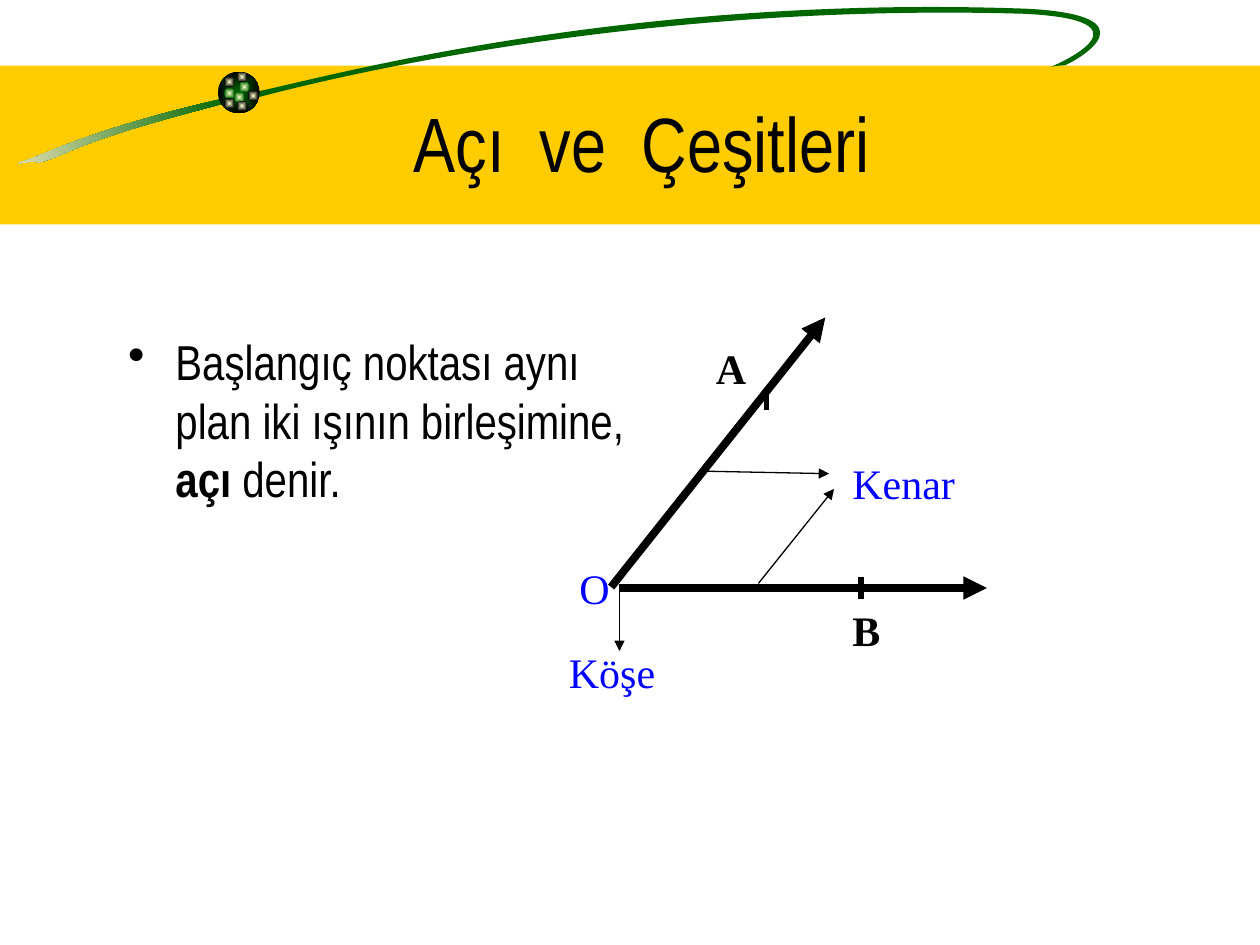
import math
from dataclasses import dataclass
from typing import Optional

import pptx
import pptx.dml.color
import pptx.enum.shapes
import pptx.enum.text
import pptx.oxml
import pptx.oxml.ns
import pptx.util
from lxml import etree

Pt = pptx.util.Pt
SHAPES = pptx.enum.shapes.MSO_SHAPE
ALIGN = pptx.enum.text.PP_ALIGN
ANCHOR = pptx.enum.text.MSO_ANCHOR
FIT = pptx.enum.text.MSO_AUTO_SIZE
qn = pptx.oxml.ns.qn

COLORS = {
    "band": "FFCC00",
    "green": "006600",
    "cream": "F5EBC1",
    "glow": "FFFFCC",
    "black": "000000",
    "blue": "0000FF",
    "white": "FFFFFF",
}
NARROW = "Arial Narrow"
SERIF = "Times New Roman"
TILT = 8.5


@dataclass
class Line:
    start: tuple[float, float]
    end: tuple[float, float]
    width: float = 0.75
    arrow: bool = True


@dataclass
class Label:
    text: str
    left: float
    top: float
    width: float
    color: str = "blue"
    bold: bool = False


@dataclass
class Dot:
    left: float
    top: float
    edge: str
    size: float = 5.8
    center: str = "glow"


@dataclass
class Swoosh:
    """A tilted frame, a start point, and curves of two controls and an end."""
    frame: tuple[float, float, float, float]
    start: tuple[float, float]
    curves: list[tuple[float, ...]]


# Swooshes and the ball on the band
TAIL = Swoosh((-2.2, 65.5, 132.5, 21.6), (128.2, 56.2), [
    (65.5, 70.6, 35.3, 83.5, 18, 90.7),
    (0.7, 96.5, 18.7, 90.7, 22.3, 92.9),
    (41, 87.8, 41, 81.4, 128.9, 59),
    (128.9, 59, 128.2, 56.2, 128.2, 56.2),
])
LOOP = Swoosh((144.7, -10.8, 515.5, 78.5), (145.4, 52.6), [
    (177.1, 46.8, 349.9, -3.6, 586.1, 5),
    (660.2, 8.6, 617, 33.8, 608.4, 37.4),
    (608.4, 37.4, 603.4, 37.4, 600.5, 38.2),
    (607.7, 35.3, 659.5, 11.5, 585.4, 7.9),
    (394.6, 2.2, 230.4, 33.8, 148.3, 55.4),
    (148.3, 55.4, 145.4, 52.6, 145.4, 52.6),
])
DOTS = [
    Dot(124.6, 41, "black", 23.8, "green"),
    Dot(136.8, 46.8, "green"),
    Dot(128.2, 43.9, "black"),
    Dot(128.2, 50.4, "green"),
    Dot(133.9, 52.6, "green"),
    Dot(141.8, 51.8, "black"),
    Dot(135.4, 57.6, "black"),
    Dot(128.2, 56.2, "black"),
    Dot(135.4, 41, "black"),
]

# Angle diagram: two rays, pointers, tick marks
LINES = [
    Line((349.2, 335.5), (471.6, 181.4), 4.5),
    Line((354, 336), (564, 336), 4.5),
    Line((404.6, 269.3), (473.8, 270.7)),
    Line((433.4, 333.4), (476.6, 279.4)),
    Line((354, 336), (354, 372)),
    Line((492, 330), (492, 342), 3, False),
    Line((438, 222), (438, 234), 3, False),
]
LABELS = [
    Label("Kenar", 480, 258, 90),
    Label("O", 324, 318, 54),
    Label("Köşe", 318, 366, 114),
    Label("B", 480, 342, 48, "black", True),
    Label("A", 402, 192, 54, "black", True),
]


def rgb(name: str) -> pptx.dml.color.RGBColor:
    return pptx.dml.color.RGBColor.from_string(COLORS[name])


def apply(target, values: dict) -> None:
    for name, value in values.items():
        setattr(target, name, value)


def paint(shape, first: str, last: Optional[str] = None, radial: bool = False) -> None:
    shape.shadow.inherit = False
    shape.line.fill.background()
    if last is None:
        shape.fill.solid()
        shape.fill.fore_color.rgb = rgb(first)
        return
    shape.fill.gradient()
    shape.fill.gradient_angle = 180
    for stop, position, color in zip(shape.fill.gradient_stops, (0, 1), (first, last)):
        stop.position = position
        stop.color.rgb = rgb(color)
    if radial:
        linear = next(shape.element.spPr.iter(qn("a:lin")))
        path = etree.Element(qn("a:path"), path="rect")
        etree.SubElement(path, qn("a:fillToRect"), {side: "50000" for side in "ltrb"})
        linear.getparent().replace(linear, path)


def add_swoosh(slide, swoosh: Swoosh):
    left, top, width, height = swoosh.frame
    cosine, sine = math.cos(math.radians(TILT)), math.sin(math.radians(TILT))

    def local(x: float, y: float) -> tuple[int, int]:
        """Turn a slide point back into the frame before its tilt."""
        dx, dy = x - left - width / 2, y - top - height / 2
        return (Pt(width / 2 + dx * cosine - dy * sine),
                Pt(height / 2 + dx * sine + dy * cosine))

    builder = slide.shapes.build_freeform(*local(*swoosh.start))
    builder.add_line_segments([local(*curve[4:]) for curve in swoosh.curves], close=True)
    shape = builder.convert_to_shape()
    apply(shape, {"left": Pt(left), "top": Pt(top), "width": Pt(width),
                  "height": Pt(height), "rotation": 360 - TILT})

    # Bend the straight segments into cubic curves
    path = next(shape.element.spPr.iter(qn("a:path")))
    path.set("w", str(Pt(width)))
    path.set("h", str(Pt(height)))
    start = next(path.iter(qn("a:pt")))
    apply(start, dict(zip("xy", local(*swoosh.start))))
    for segment, curve in zip(path.findall(qn("a:lnTo")), swoosh.curves):
        bend = etree.Element(qn("a:cubicBezTo"))
        for index in (0, 2, 4):
            x, y = local(*curve[index:index + 2])
            etree.SubElement(bend, qn("a:pt"), x=str(x), y=str(y))
        path.replace(segment, bend)
    return shape


def add_dot(slide, dot: Dot) -> None:
    box = map(Pt, (dot.left, dot.top, dot.size, dot.size))
    shape = slide.shapes.add_shape(SHAPES.OVAL, *box)
    paint(shape, dot.center, dot.edge, radial=True)


def add_panel(slide, box: tuple, color: str):
    shape = slide.shapes.add_shape(SHAPES.RECTANGLE, *map(Pt, box))
    paint(shape, color)
    return shape


def add_line(slide, line: Line) -> None:
    connector = slide.shapes.add_connector(
        pptx.enum.shapes.MSO_CONNECTOR.STRAIGHT, *map(Pt, line.start + line.end))
    connector.line.width = Pt(line.width)
    connector.line.color.rgb = rgb("black")
    properties = connector._element.spPr
    if line.arrow:
        etree.SubElement(properties.find(qn("a:ln")), qn("a:tailEnd"), type="triangle")
    etree.SubElement(properties, qn("a:effectLst"))


def add_text(slide, box: tuple, runs: list[tuple[str, bool]], font: dict,
             color: str, frame: dict, paragraph_format: dict):
    text_frame = slide.shapes.add_textbox(*map(Pt, box)).text_frame
    apply(text_frame, {"word_wrap": True, **frame})
    paragraph = text_frame.paragraphs[0]
    apply(paragraph, paragraph_format)
    for text, bold in runs:
        run = paragraph.add_run()
        run.text = text
        apply(run.font, {**font, "bold": bold})
        run.font.color.rgb = rgb(color)
    return paragraph


def add_label(slide, label: Label) -> None:
    add_text(slide, (label.left, label.top, label.width, 36),
             [(label.text, label.bold)], {"name": SERIF, "size": Pt(24)}, label.color,
             {"auto_size": FIT.SHAPE_TO_FIT_TEXT}, {"space_before": Pt(15)})


def main() -> None:
    presentation = pptx.Presentation()
    apply(presentation, {"slide_width": Pt(720), "slide_height": Pt(540)})
    slide = presentation.slides.add_slide(presentation.slide_layouts[6])

    # Title band with its decoration
    add_panel(slide, (0, 37.6, 720, 90.7), "band")
    paint(add_swoosh(slide, TAIL), "green", "cream")
    paint(add_swoosh(slide, LOOP), "green")
    for dot in DOTS:
        add_dot(slide, dot)

    # Half-transparent side panel
    panel = add_panel(slide, (53.3, 148.3, 87.8, 391.7), "white")
    tint = next(panel.element.spPr.iter(qn("a:srgbClr")))
    etree.SubElement(tint, qn("a:alpha"), val="50000")

    # Title, its centre moved left by the wide right inset
    add_text(slide, (90.7, 36, 612, 90), [("Açı  ve  Çeşitleri", False)],
             {"name": NARROW, "size": Pt(44)}, "black",
             {"vertical_anchor": ANCHOR.MIDDLE, "margin_right": Pt(66.7)},
             {"alignment": ALIGN.CENTER})

    # Definition
    definition = add_text(
        slide, (66.2, 185.8, 299.5, 264.2),
        [("Başlangıç noktası aynı plan iki ışının birleşimine, ", False),
         ("açı ", True), ("denir.", False)],
        {"name": NARROW, "size": Pt(28)}, "black", {}, {"space_before": Pt(7)})
    properties = definition._p.get_or_add_pPr()
    for name, value in {"marL": Pt(27), "indent": Pt(-27)}.items():
        properties.set(name, str(value))
    etree.SubElement(properties, qn("a:buChar"), char="•")

    # Angle diagram
    for line in LINES:
        add_line(slide, line)
    for label in LABELS:
        add_label(slide, label)

    presentation.save("out.pptx")


if __name__ == "__main__":
    main()
